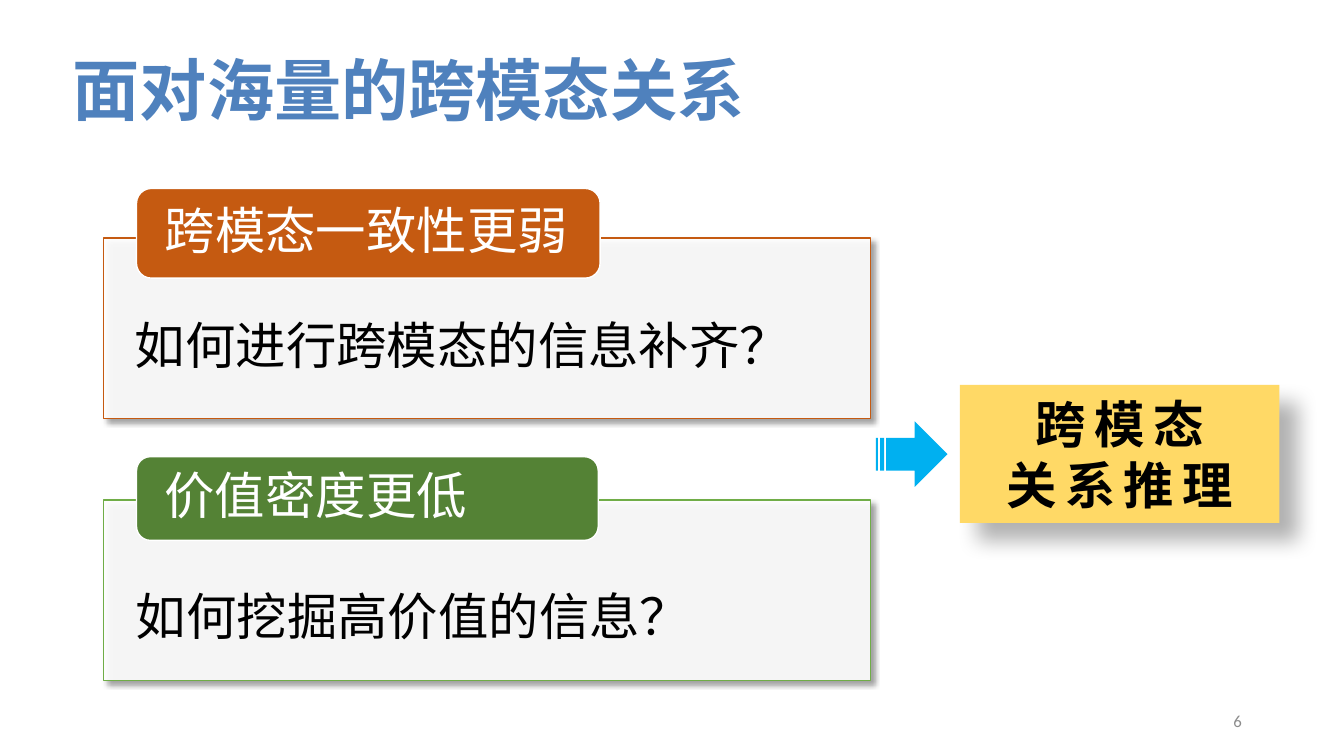
from lxml import etree
from pptx import Presentation
from pptx import util as u
from pptx.dml.color import RGBColor
from pptx.enum import shapes, text
from pptx.oxml.ns import qn

# Content
TITLE = "面对海量的跨模态关系"
PAGE_NUMBER = "6"
CONCLUSION = ["跨模态", "关系推理"]
# Panel top, tag (top, width, height), question (left, top, width, wrap)
PANELS = [
    {"tag": "跨模态一致性更弱", "question": "如何进行跨模态的信息补齐？",
     "colour": "orange", "line": "orange", "top": 169.9,
     "tag_box": (134.6, 331.2, 64.1), "question_box": (89.3, 221, 535.7, True)},
    {"tag": "价值密度更低", "question": "如何挖掘高价值的信息？",
     "colour": "green", "line": "light_green", "top": 357.1,
     "tag_box": (326.2, 329.8, 59.8), "question_box": (90, 414.7, 414.7, False)},
]
COLOURS = {"title": "4F81BD", "grey": "8C8C8C", "white": "FFFFFF", "black": "000000",
           "orange": "C55A11", "green": "548235", "light_green": "70AD47",
           "blue": "00B0F0", "yellow": "FFD966"}
CJK = "Noto Sans CJK SC"
PANEL_LEFT, PANEL_WIDTH, PANEL_HEIGHT = 73.8, 547.9, 128.9
TAG_LEFT = 97.5

deck = Presentation()
deck.slide_width, deck.slide_height = u.Pt(960), u.Pt(540)
page = deck.slides.add_slide(deck.slide_layouts[6])


def colour(name):
    return RGBColor.from_string(COLOURS[name])


def add_shape(kind, place, fill, line=None):
    shape = page.shapes.add_shape(kind, *map(u.Pt, place))
    shape.shadow.inherit = False
    shape.fill.solid()
    shape.fill.fore_color.rgb = colour(fill)
    if line:
        shape.line.color.rgb = colour(line)
        shape.line.width = u.Pt(1)
    else:
        shape.line.fill.background()
    return shape


def add_shadow(shape, alpha, blur, distance):
    effects = shape._element.spPr.find(qn("a:effectLst"))
    shadow = etree.SubElement(effects, qn("a:outerShdw"), blurRad=str(u.Pt(blur)),
                              dist=str(u.Pt(distance)), dir="2700000",
                              algn="tl", rotWithShape="0")
    shade = etree.SubElement(shadow, qn("a:srgbClr"), val=COLOURS["black"])
    etree.SubElement(shade, qn("a:alpha"), val=str(alpha * 1000))


def write(shape, lines, size, ink, font=CJK, bold=False, align="LEFT", anchor="MIDDLE",
          insets=(7.2, 3.6, 7.2, 3.6), wrap=True, line_spacing=None, tracking=0):
    frame = shape.text_frame
    frame.word_wrap = wrap
    frame.vertical_anchor = text.MSO_ANCHOR[anchor]
    (frame.margin_left, frame.margin_top,
     frame.margin_right, frame.margin_bottom) = map(u.Pt, insets)
    frame.text = "\n".join(lines)
    for para in frame.paragraphs:
        para.alignment = text.PP_ALIGN[align]
        if line_spacing:
            para.line_spacing = line_spacing
        para.font.size = u.Pt(size)
        para.font.bold = bold
        para.font.color.rgb = colour(ink)
        para.font.name = font
        props = para._p.pPr.find(qn("a:defRPr"))
        etree.SubElement(props, qn("a:ea")).set("typeface", CJK)
        if tracking:
            props.set("spc", str(tracking * 100))


def add_text(place, lines, size, ink, **style):
    box = page.shapes.add_textbox(*map(u.Pt, place))
    write(box, lines, size, ink, **style)


# Title and page number
add_text((6.5, 26.6, 648.7, 70.6), [TITLE], 48, "title", font="DejaVu Sans Mono",
         bold=True, anchor="BOTTOM", insets=(45.4, 5, 9.4, 5))
add_text((678.2, 500.4, 216, 28.8), [PAGE_NUMBER], 12, "grey", font="Calibri", align="RIGHT")

# Panels, each with a tag and a question
for panel in PANELS:
    body = add_shape(shapes.MSO_SHAPE.RECTANGLE,
                     (PANEL_LEFT, panel["top"], PANEL_WIDTH, PANEL_HEIGHT),
                     "white", panel["line"])
    tint = body._element.spPr.find(qn("a:solidFill"))[0]
    etree.SubElement(tint, qn("a:alpha"), val="90000")
    add_shadow(body, 40, 4, 3)

    # The rounded corners add about 3 pt to each text inset
    tag = add_shape(shapes.MSO_SHAPE.ROUNDED_RECTANGLE, (TAG_LEFT, *panel["tag_box"]),
                    panel["colour"], "white")
    write(tag, [panel["tag"]], 36, "white", insets=(17, 0, 7.2, 0), line_spacing=0.9)

    left, top, width, wrap = panel["question_box"]
    add_text((left, top, width, 51.1), [panel["question"]], 36, "black",
             anchor="TOP", wrap=wrap)

# Arrow to the conclusion
add_shape(shapes.MSO_SHAPE.STRIPED_RIGHT_ARROW, (625.7, 301, 51.1, 46.8), "blue")
conclusion = add_shape(shapes.MSO_SHAPE.RECTANGLE, (685.7, 275, 228.2, 98.6), "yellow")
add_shadow(conclusion, 30, 15, 18)
write(conclusion, CONCLUSION, 36, "black", font="Calibri", bold=True,
      align="CENTER", tracking=6)

deck.save("out.pptx")
